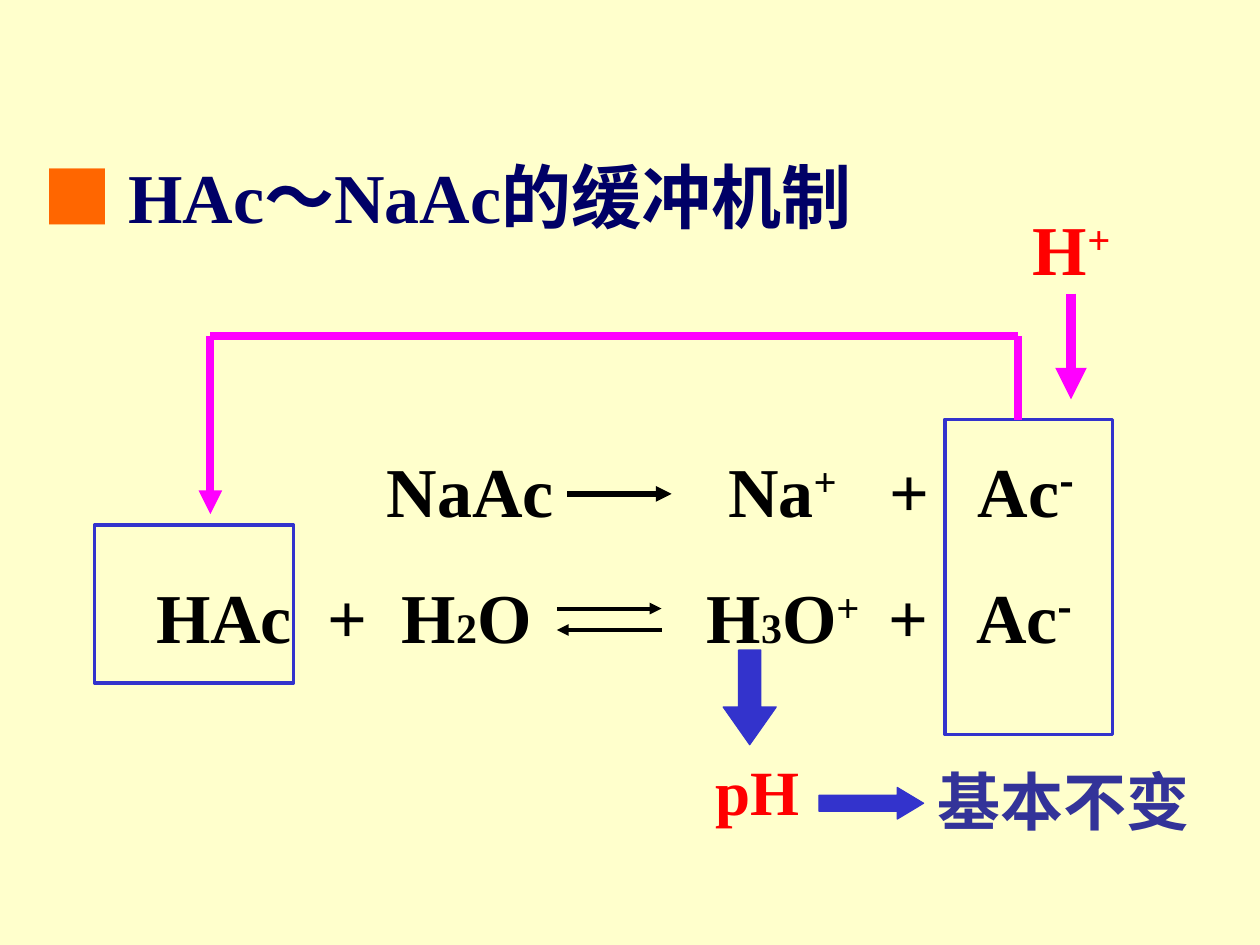
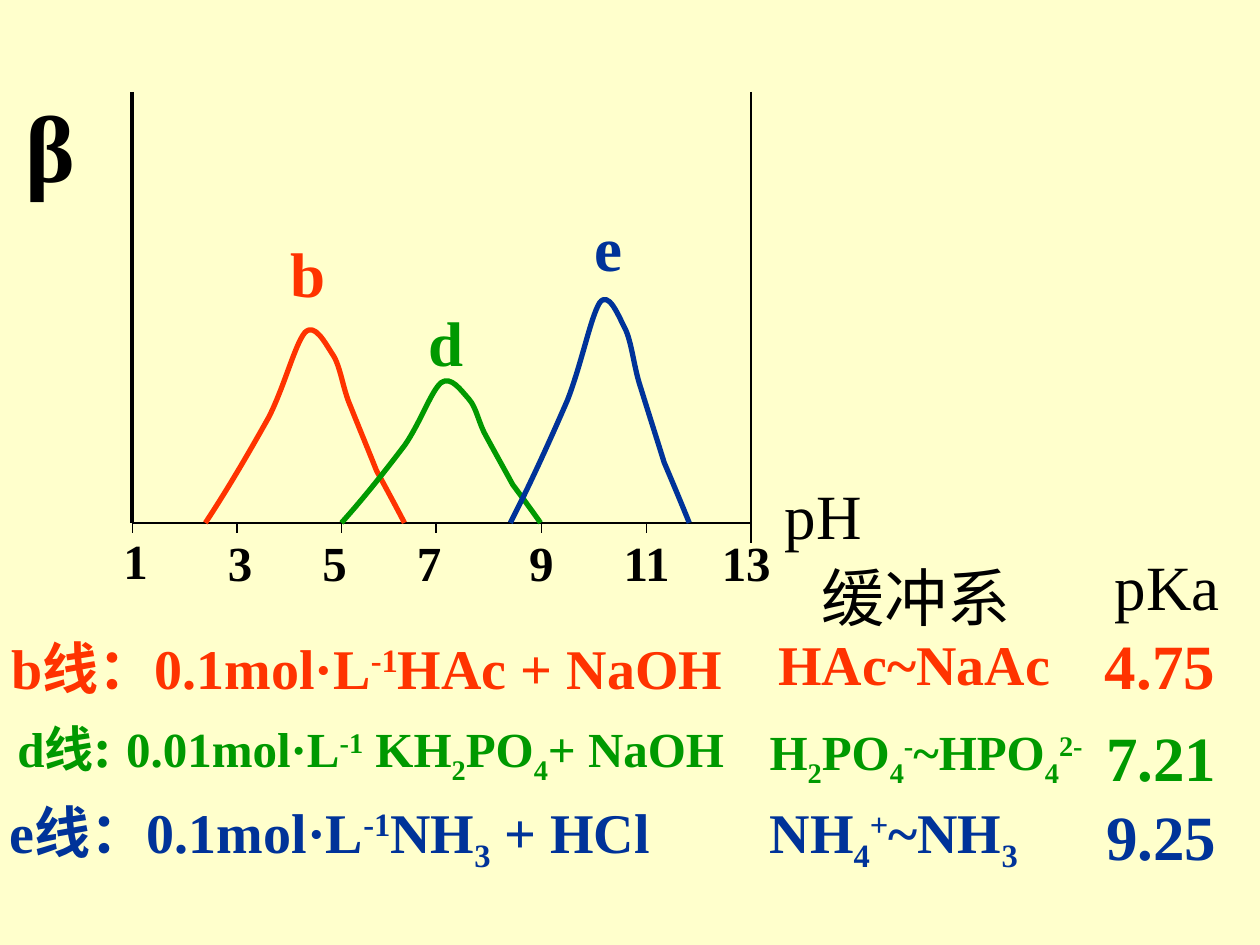
from lxml import etree
from pptx import Presentation
from pptx.dml.color import RGBColor
from pptx.enum.shapes import MSO_CONNECTOR, MSO_SHAPE as Shape
from pptx.enum.text import MSO_ANCHOR as Anchor, MSO_AUTO_SIZE as AutoSize, PP_ALIGN as Align
from pptx.oxml.ns import qn
from pptx.util import Inches, Pt

COLORS = {
    "background": "FFFFCC", "ink": "000000", "title": "000066", "marker": "FF6600",
    "frame": "3333CC", "result": "333399", "acid": "FF0000", "path": "FF00FF",
    "b": "FF3300", "d": "009900", "e": "003399",
}
LATIN, CJK = "Times New Roman", "Noto Sans CJK SC"
BELL = [
    (.12, .82), (.23, .63), (.32, .47),
    (.4, .31), (.45, .11), (.5, .05),
    (.55, 0), (.6, .1), (.64, .16),
    (.68, .22), (.69, .33), (.73, .42),
    (.77, .52), (.82, .64), (.86, .74),
    (.91, .83), (.98, .96), (1, 1),
]


def rgb(name):
    """Return the named colour."""
    return RGBColor.from_string(COLORS[name])


def sup(text, font=None):
    """Describe a superscript run."""
    return text, {"baseline": 30, "font": font}


def sub(text):
    """Describe a subscript run."""
    return text, {"baseline": -25}


def sized(text, size):
    """Describe a run with its own size."""
    return text, {"size": size}


def style_run(run, size=None, font=None, color=None, baseline=None):
    """Apply what sets a run apart from its paragraph."""
    if size:
        run.font.size = Pt(size)
    if color:
        run.font.color.rgb = rgb(color)
    if font:
        run.font.name = font
        etree.SubElement(run.font._element, qn("a:ea"), typeface=font)
    if baseline:
        run.font._element.set("baseline", str(baseline * 1000))


def add_label(slide, box, parts, size, color="ink", bold=True, align=Align.LEFT,
              anchor=Anchor.TOP, tabs=(), spacing=None):
    """Write one line of text made of plain and styled runs."""
    label = slide.shapes.add_textbox(*map(Inches, box))
    frame = label.text_frame
    frame.word_wrap = False
    frame.auto_size = AutoSize.SHAPE_TO_FIT_TEXT
    frame.vertical_anchor = anchor
    line = frame.paragraphs[0]
    line.alignment = align
    if spacing:
        line.line_spacing = spacing
    if tabs:
        stops = etree.SubElement(line._p.get_or_add_pPr(), qn("a:tabLst"))
        for stop in tabs:
            etree.SubElement(stops, qn("a:tab"), pos=str(Inches(stop)), algn="l")
    line.font.size, line.font.bold, line.font.name = Pt(size), bold, LATIN
    line.font.color.rgb = rgb(color)
    for part in parts:
        text, style = (part, {}) if isinstance(part, str) else part
        run = line.add_run()
        run.text = text
        style_run(run, **style)
    return label


def add_line(slide, start, end, color="ink", width=.75, arrow=False):
    """Draw a straight line, with an arrowhead at its end if asked."""
    line = slide.shapes.add_connector(MSO_CONNECTOR.STRAIGHT, *map(Inches, (*start, *end)))
    line.line.color.rgb = rgb(color)
    line.line.width = Pt(width)
    if arrow:
        etree.SubElement(line.line._get_or_add_ln(), qn("a:tailEnd"), type="triangle")
    etree.SubElement(line._element.spPr, qn("a:effectLst"))


def add_frame(slide, box):
    """Outline a species."""
    frame = slide.shapes.add_shape(Shape.RECTANGLE, *map(Inches, box))
    frame.shadow.inherit = False
    frame.fill.background()
    frame.line.color.rgb = rgb("frame")
    frame.line.width = Pt(2.25)


def add_block_arrow(slide, kind, box, adjustments):
    """Draw a solid block arrow."""
    arrow = slide.shapes.add_shape(kind, *map(Inches, box))
    arrow.shadow.inherit = False
    for index, value in enumerate(adjustments):
        arrow.adjustments[index] = value
    arrow.fill.solid()
    arrow.fill.fore_color.rgb = rgb("frame")
    arrow.line.color.rgb = rgb("frame")
    arrow.line.width = Pt(.75)


def add_title(slide, left, top):
    """Write the marked heading."""
    marker = ("■ ", {"font": CJK, "color": "marker"})
    add_label(slide, (left, top, 7.16, .94), [marker, "HAc～NaAc的缓冲机制"], 40, "title",
              anchor=Anchor.MIDDLE, spacing=1.25)


def add_equations(slide, left, top):
    """Write both dissociations with their reaction arrows."""
    add_label(slide, (left + 1.83, top, 5.69, .77),
              ["NaAc\tNa", sup("+"), "\t+\tAc", sup("-", CJK)], 40,
              anchor=Anchor.MIDDLE, tabs=(2.71, 3.99, 4.69))
    add_label(slide, (left, top + 1, 7.5, .77),
              ["HAc\t+\tH", sized("2", 24), "O\tH", sized("3", 24), "O", sup("+"),
               "\t+\tAc", sup("-", CJK)], 40,
              anchor=Anchor.MIDDLE, tabs=(1.36, 1.95, 4.37, 5.81, 6.51))
    near, far = left + 3.28, left + 4.11
    add_line(slide, (near + .08, top + .42), (far + .08, top + .42), width=3, arrow=True)
    add_line(slide, (near, top + 1.33), (far, top + 1.33), width=2.25, arrow=True)
    add_line(slide, (far, top + 1.5), (near, top + 1.5), width=2.25, arrow=True)


def add_proton_path(slide, left, top):
    """Show added protons joining Ac- to form HAc."""
    add_frame(slide, (left, top + 2.59, 1.58, 1.25))
    add_frame(slide, (left + 6.75, top + 1.75, 1.33, 2.5))
    proton = add_label(slide, (left + 7.3, top, .91, .77), ["H", sup("+")], 40, "acid",
                       align=Align.CENTER, anchor=Anchor.MIDDLE)
    proton.fill.solid()
    proton.fill.fore_color.rgb = rgb("background")
    start, end, level = left + 7.33, left + .92, top + 1.09
    add_line(slide, (start, level), (start, top + 1.75), "path", 4.5)
    add_line(slide, (start, level), (end, level), "path", 4.5)
    add_line(slide, (end, level), (end, top + 2.5), "path", 4.5, arrow=True)
    add_line(slide, (left + 7.75, top + .75), (left + 7.75, top + 1.59), "path", 6, arrow=True)


def add_ph_result(slide, left, top):
    """Conclude that the pH hardly changes."""
    add_block_arrow(slide, Shape.DOWN_ARROW, (left + .16, top, .42, .75), (.42, .71))
    add_label(slide, (left - .05, top + .76, .96, .7), ["pH"], 36, "acid",
              align=Align.CENTER, anchor=Anchor.MIDDLE)
    add_block_arrow(slide, Shape.RIGHT_ARROW, (left + .92, top + 1.09, .83, .25), (.5, .83))
    add_label(slide, (left + 1.76, top + .84, 2.2, .7), ["基本不变"], 36, "result",
              anchor=Anchor.MIDDLE)


def add_axes(slide, left, top, width, height):
    """Draw the pH and capacity axes with ticks and labels."""
    right, base = left + width, top + height
    add_line(slide, (left, top), (left, base), width=2.25)
    add_line(slide, (left, base), (right, base))
    add_line(slide, (right, top), (right, base + .16))
    add_label(slide, (left - .95, top - .08, .62, 1), ["β"], 54)
    add_label(slide, (right + .17, base - .42, .85, .7), ["pH"], 36, bold=False)
    ticks = [("1", 0, -.17), ("3", .83, .66), ("5", 1.66, 1.41), ("7", 2.41, 2.16),
             ("9", 3.25, 3.05), ("11", 4.08, 3.8), ("13", 4.91, 4.58)]
    for value, tick, label_left in ticks:
        add_line(slide, (left + tick, base), (left + tick, base + .08))
        label_top = base + (.01 if value == "1" else .03)
        add_label(slide, (left + label_left, label_top, .25 + .2 * len(value), .57), [value], 28)


def add_bell_curve(slide, name, left, top, width, height):
    """Draw one buffer capacity curve as Bézier segments inside its box."""
    points = [(Inches(left + x * width), Inches(top + y * height)) for x, y in BELL]
    builder = slide.shapes.build_freeform(Inches(left), Inches(top + height))
    builder.add_line_segments(points, close=False)
    curve = builder.convert_to_shape()
    segments = list(curve._element.iter(qn("a:lnTo")))
    for first in range(0, len(segments), 3):
        trio = segments[first:first + 3]
        bend = etree.SubElement(trio[0].getparent(), qn("a:cubicBezTo"))
        for segment in trio:
            bend.append(segment[0])
            segment.getparent().remove(segment)
    curve.shadow.inherit = False
    curve.fill.background()
    curve.line.color.rgb = rgb(name)
    curve.line.width = Pt(3)


def add_capacity_plot(slide, left, top, width, height):
    """Plot buffer capacity against pH for three systems."""
    add_axes(slide, left, top, width, height)
    base = top + height
    curves = [("b", .58, 1.58, 1.59, (1.16, 1.08)),
              ("d", 1.66, 1.58, 1.17, (2.25, 1.63)),
              ("e", 3, 1.42, 1.84, (3.57, .88))]
    for name, offset, span, rise, (label_left, label_top) in curves:
        add_bell_curve(slide, name, left + offset, base - rise, span, rise)
        add_label(slide, (left + label_left, top + label_top, .5, .7), [name], 36, name)


def add_buffer_list(slide, left, top):
    """List the titration, buffer system and pKa of each curve."""
    add_label(slide, (left + 6.42, top + .08, 1.75, .7), ["缓冲系"], 36, bold=False)
    add_label(slide, (left + 8.75, top, 1.1, .7), ["pKa"], 36, bold=False)
    rows = [
        ("b", 32, (-.01, .68), ["b线：0.1mol·L", sup("-1"), "HAc + NaOH"],
         (6.08, .65), ["HAc~NaAc"], (8.67, .62), "4.75"),
        ("d", 28, (.04, 1.3),
         ["d线", sized(": ", 32), "0.01mol·L", sup("-1"), " KH", sub("2"), "PO", sub("4"),
          "+ NaOH"],
         (6.01, 1.38),
         ["H", sub("2"), "PO", sub("4"), sup("-"), "~HPO", sub("4"), sup("2-")],
         (8.68, 1.35), "7.21"),
        ("e", 32, (-.02, 1.98), ["e线：0.1mol·L", sup("-1"), "NH", sub("3"), " + HCl"],
         (6.01, 1.98), ["NH", sub("4"), sup("+"), "~NH", sub("3")], (8.68, 1.98), "9.25"),
    ]
    for name, size, mix_at, mix, system_at, system, pka_at, pka in rows:
        cells = [(mix_at, 6.2, mix, size), (system_at, 2.8, system, size),
                 (pka_at, 1.15, [pka], 36)]
        for (x, y), width, parts, cell_size in cells:
            add_label(slide, (left + x, top + y, width, .7), parts, cell_size, name)


def add_slide(deck):
    """Add a blank slide on the shared background."""
    slide = deck.slides.add_slide(deck.slide_layouts[6])
    slide.background.fill.solid()
    slide.background.fill.fore_color.rgb = rgb("background")
    return slide


def main():
    """Build both slides and save them."""
    deck = Presentation()
    deck.slide_width, deck.slide_height = Inches(10), Inches(7.5)

    mechanism = add_slide(deck)
    add_title(mechanism, .24, 1)
    add_equations(mechanism, 1.14, 3.5)
    add_proton_path(mechanism, .75, 1.58)
    add_ph_result(mechanism, 5.58, 5.16)

    capacity = add_slide(deck)
    add_capacity_plot(capacity, 1.05, .73, 4.91, 3.42)
    add_buffer_list(capacity, 0, 4.3)
    deck.save("out.pptx")


if __name__ == "__main__":
    main()
